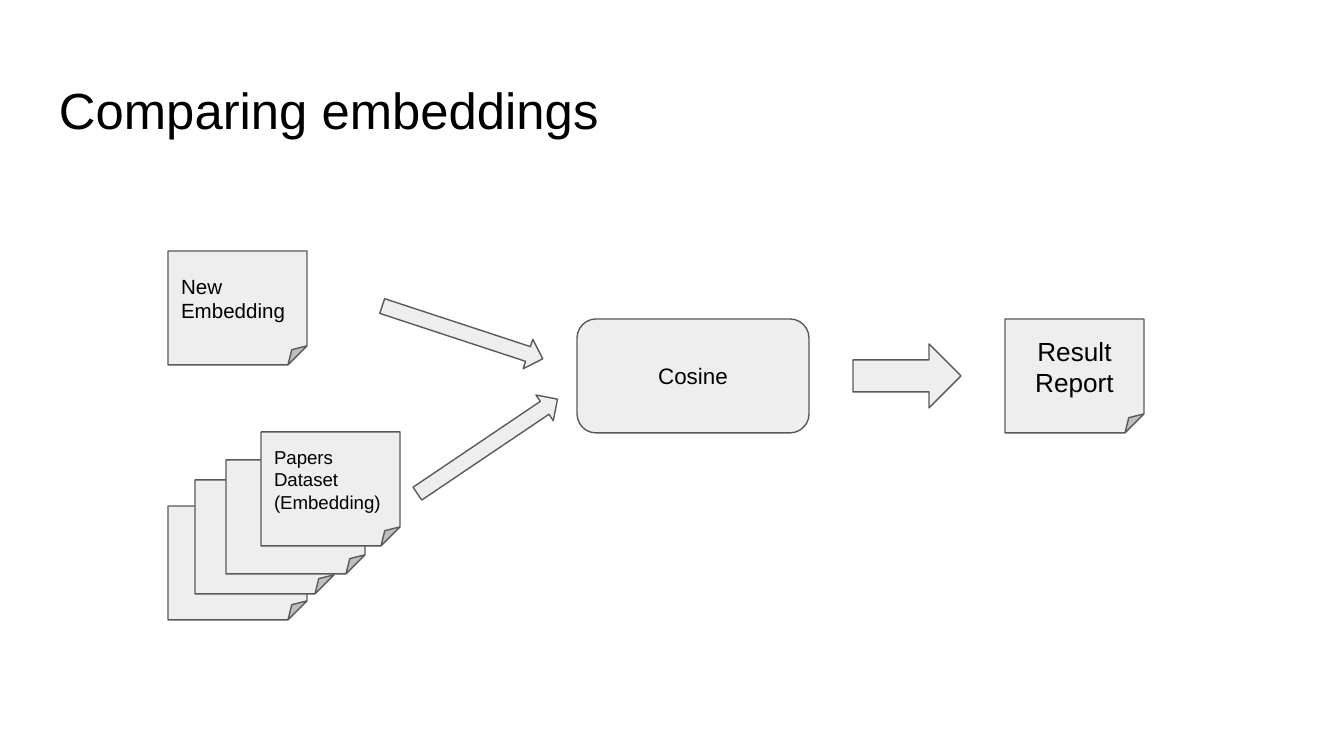
from pptx import Presentation
from pptx.dml.color import RGBColor
from pptx.enum.shapes import MSO_SHAPE
from pptx.enum.text import MSO_ANCHOR, PP_ALIGN
from pptx.util import Emu, Pt

SCALE = 9144000 / 1344
CARD_WIDTH, CARD_HEIGHT = 139, 114
MIDDLE_TOP = 319


def color(value):
    return RGBColor.from_string(value)


def write_text(shape, lines, size, alignment=PP_ALIGN.LEFT, anchor=MSO_ANCHOR.MIDDLE):
    frame = shape.text_frame
    margin = Emu(round(13 * SCALE))
    frame_format = {
        "word_wrap": True,
        "vertical_anchor": anchor,
        "margin_left": margin,
        "margin_top": margin,
        "margin_right": margin,
        "margin_bottom": margin,
    }
    for name, value in frame_format.items():
        setattr(frame, name, value)
    frame.text = "\n".join(lines)
    for paragraph in frame.paragraphs:
        paragraph.alignment = alignment
        for name, value in {"name": "Arial", "size": Pt(size)}.items():
            setattr(paragraph.font, name, value)
        paragraph.font.color.rgb = color("000000")


presentation = Presentation()
presentation.slide_width = Emu(round(1344 * SCALE))
presentation.slide_height = Emu(round(756 * SCALE))
slide = presentation.slides.add_slide(presentation.slide_layouts[6])

title_box = [Emu(round(length * SCALE)) for length in (46, 66, 1253, 85)]
title = slide.shapes.add_textbox(*title_box)
write_text(title, ["Comparing embeddings"], 27.2, anchor=MSO_ANCHOR.TOP)

card = MSO_SHAPE.FOLDED_CORNER
arrow = MSO_SHAPE.RIGHT_ARROW
left, center = PP_ALIGN.LEFT, PP_ALIGN.CENTER

cards = [
    (168, 251, ["New", "Embedding"], 11, left),
    (168, 506, [], 10, left),
    (195, 480, [], 10, left),
    (226, 460, [], 10, left),
    (261, 432, ["Papers Dataset", "(Embedding)"], 10, left),
    (1005, MIDDLE_TOP, ["Result Report"], 14, center),
]
arrows = [
    (853, 344, 108, 64, 0),
    (378, 317, 169, 31, 18.2),
    (403, 431, 169, 31, 326),
]

diagram = [
    (card, x, y, CARD_WIDTH, CARD_HEIGHT, 0, lines, size, alignment)
    for x, y, lines, size, alignment in cards
]
diagram.append(
    (MSO_SHAPE.ROUNDED_RECTANGLE, 577, MIDDLE_TOP, 232, CARD_HEIGHT, 0, ["Cosine"], 12, center)
)
diagram += [(arrow, *placement, [], 10, left) for placement in arrows]

for kind, x, y, width, height, rotation, lines, size, alignment in diagram:
    box = [Emu(round(length * SCALE)) for length in (x, y, width, height)]
    shape = slide.shapes.add_shape(kind, *box)
    shape.rotation = rotation
    shape.shadow.inherit = False
    shape.fill.solid()
    shape.fill.fore_color.rgb = color("EEEEEE")
    shape.line.color.rgb = color("595959")
    shape.line.width = Pt(0.75)
    if lines:
        write_text(shape, lines, size, alignment)

presentation.save("out.pptx")
